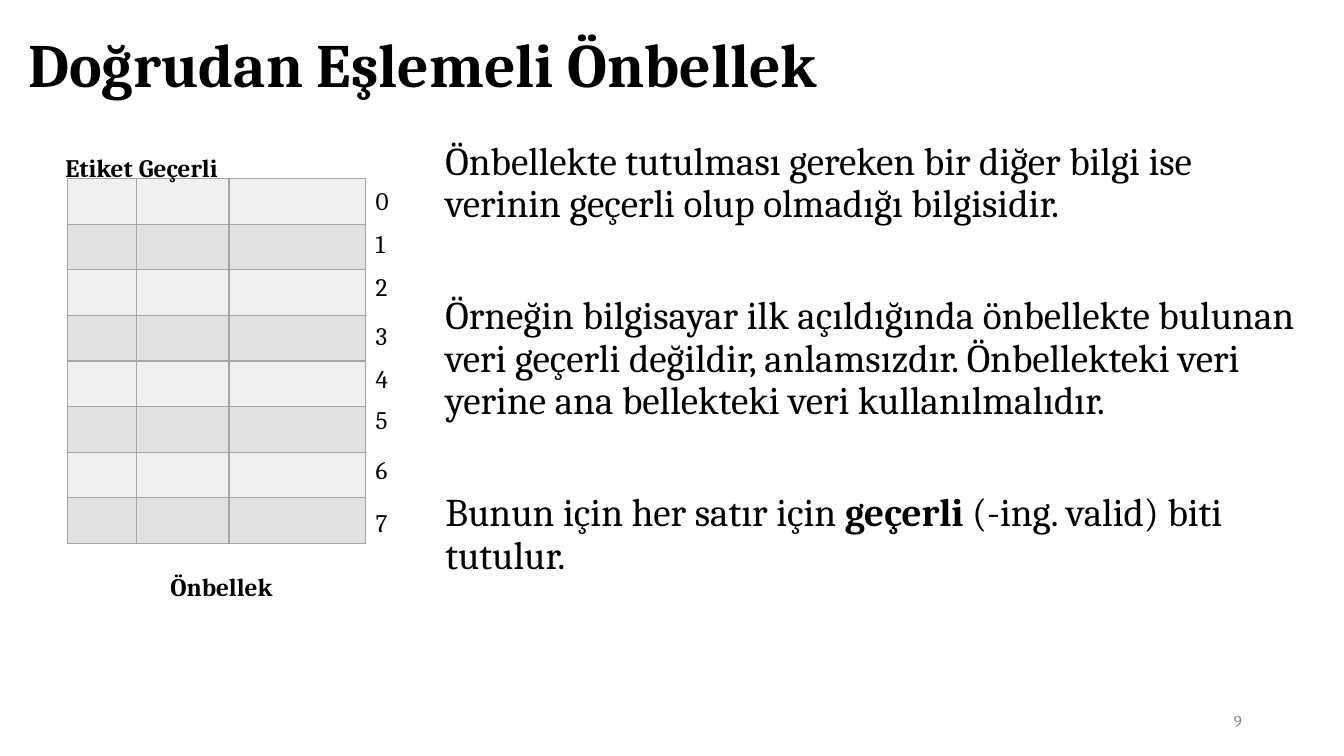
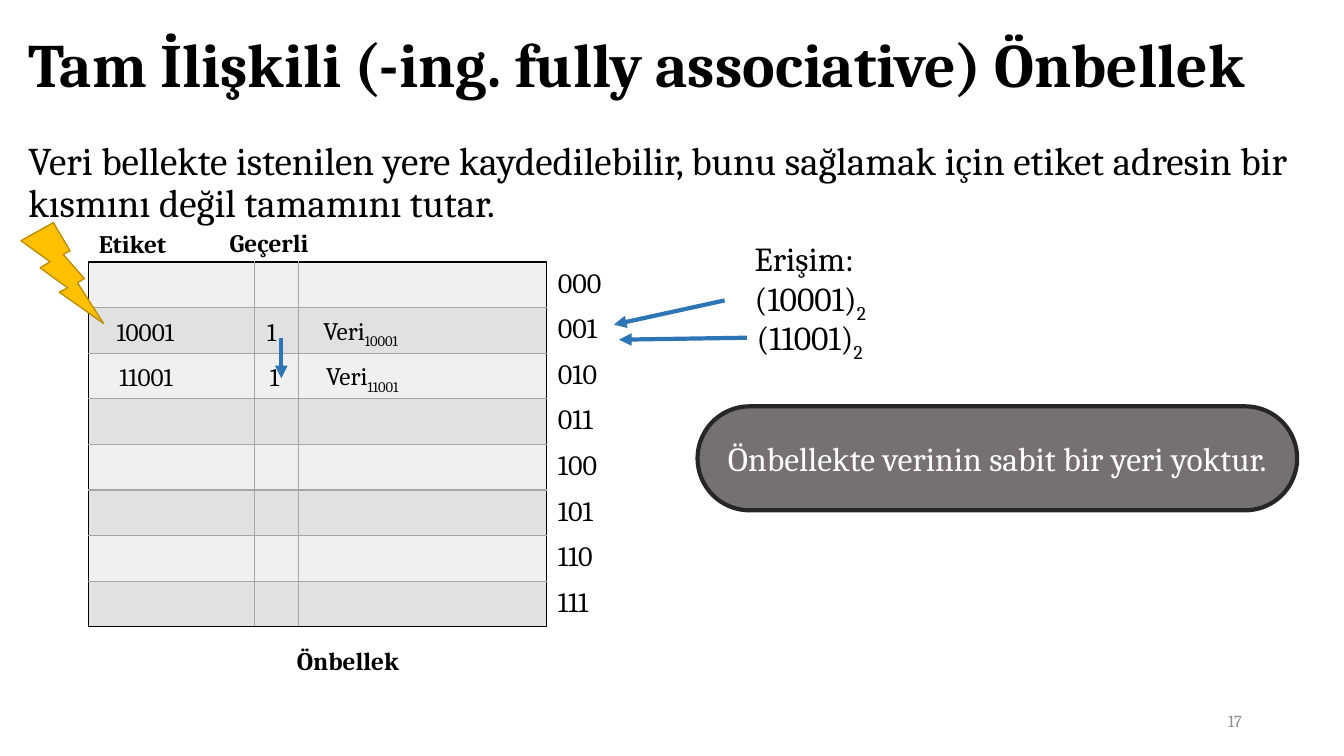
"""Build two lecture slides on direct-mapped and fully associative caches."""
from lxml.etree import SubElement
from pptx import Presentation
from pptx.dml.color import RGBColor
from pptx.enum.shapes import MSO_CONNECTOR, MSO_SHAPE
from pptx.enum.text import MSO_ANCHOR, MSO_AUTO_SIZE, PP_ALIGN
from pptx.oxml.ns import qn
from pptx.util import Cm, Pt

FONT = "Cambria"
COLORS = {
    "text": "000000",
    "page": "8C8C8C",
    "light_row": "F0F0F0",
    "dark_row": "E1E1E1",
    "grid": "A5A5A5",
    "white": "FFFFFF",
    "arrow": "2E75B6",
    "bolt": "FFC000",
    "bolt_edge": "BD8E00",
    "note": "767171",
    "note_edge": "262626",
}
ROWS = 8
ROW_HEIGHT = 1.15
LABEL_HEIGHT = 1.02


def rgb(name):
    return RGBColor.from_string(COLORS[name])


class Deck:
    """Holds the shared style and the slide being built."""

    def __init__(self):
        self.presentation = Presentation()
        self.presentation.slide_width = Cm(33.87)
        self.presentation.slide_height = Cm(19.05)
        self.slide = None

    def start(self, title, page):
        layout = self.presentation.slide_layouts[1]
        self.slide = self.presentation.slides.add_slide(layout)
        heading = self.slide.shapes.title
        self.place(heading, 0.46, 0.38, 32.66, 2.64)
        heading.text_frame.vertical_anchor = MSO_ANCHOR.MIDDLE
        self.set_text(heading.text_frame, [title], 44, bold=True, spacing=0.9)
        self.label(page, 23.93, 17.65, 7.62, size=12, color="page", align=PP_ALIGN.RIGHT,
                   anchor=MSO_ANCHOR.MIDDLE)

    def place(self, holder, left, top, width, height):
        holder.left, holder.top = Cm(left), Cm(top)
        holder.width, holder.height = Cm(width), Cm(height)

    def set_text(self, frame, paragraphs, size, color="text", bold=False,
                 align=PP_ALIGN.LEFT, spacing=1.0, gap=0):
        frame.word_wrap = True
        frame.auto_size = MSO_AUTO_SIZE.NONE
        for index, parts in enumerate(paragraphs):
            parts = [parts] if isinstance(parts, str) else parts
            paragraph = frame.add_paragraph() if index else frame.paragraphs[0]
            paragraph.alignment = align
            paragraph.line_spacing = spacing
            paragraph.space_before = Pt(gap if index else 0)
            for part in parts:
                text, mark = (part, "") if isinstance(part, str) else part
                run = paragraph.add_run()
                run.text = text
                run.font.name = FONT
                run.font.size = Pt(size)
                run.font.bold = bold or mark == "bold"
                run.font.color.rgb = rgb(color)
                if mark == "sub":
                    run.font._element.set("baseline", "-25000")

    def body(self, paragraphs, left, width):
        content = self.slide.placeholders[1]
        self.place(content, left, 3.43, width, 13.72)
        self.set_text(content.text_frame, paragraphs, 28, spacing=0.9, gap=50)
        for paragraph in content.text_frame.paragraphs:
            properties = paragraph._p.get_or_add_pPr()
            properties.set("marL", "0")
            properties.set("indent", "0")
            SubElement(properties, qn("a:buNone"))

    def label(self, parts, left, top, width, height=LABEL_HEIGHT, size=18,
              anchor=MSO_ANCHOR.TOP, **style):
        box = self.slide.shapes.add_textbox(Cm(left), Cm(top), Cm(width), Cm(height))
        box.text_frame.vertical_anchor = anchor
        paragraphs = parts if isinstance(parts, list) else [parts]
        self.set_text(box.text_frame, paragraphs, size, **style)

    def edge(self, cell, side, color):
        line = SubElement(cell._tc.get_or_add_tcPr(), qn(f"a:ln{side}"), w=str(Pt(1)))
        if color is None:
            SubElement(line, qn("a:noFill"))
        else:
            fill = SubElement(line, qn("a:solidFill"))
            SubElement(fill, qn("a:srgbClr"), val=COLORS[color])

    def cache(self, left, top, widths, frame_color, addresses=()):
        grid = self.slide.shapes.add_table(ROWS, len(widths), Cm(left), Cm(top),
                                           Cm(sum(widths)), Cm(ROWS * ROW_HEIGHT)).table
        grid.first_row = grid.horz_banding = False
        for column, width in zip(grid.columns, widths):
            column.width = Cm(width)
        for row in range(ROWS):
            grid.rows[row].height = Cm(ROW_HEIGHT)
            for column in range(len(widths)):
                cell = grid.cell(row, column)
                outside = column == 3
                outer = {"L": column == 0, "R": column == 2,
                         "T": row == 0, "B": row == ROWS - 1}
                for side, is_outer in outer.items():
                    color = frame_color if is_outer else "grid"
                    if outside:
                        color = frame_color if side == "L" else None
                    self.edge(cell, side, color)
                cell.fill.solid()
                stripe = "dark_row" if row % 2 else "light_row"
                cell.fill.fore_color.rgb = rgb("white" if outside else stripe)
                if outside:
                    cell.margin_left = cell.margin_right = Cm(0.28)
                    cell.margin_top = cell.margin_bottom = Cm(0.15)
                    self.set_text(cell.text_frame, [addresses[row]], 20)

    def arrow(self, start, end):
        connector = self.slide.shapes.add_connector(
            MSO_CONNECTOR.STRAIGHT, *(Cm(value) for value in start + end))
        connector.line.color.rgb = rgb("arrow")
        connector.line.width = Pt(3)
        properties = connector._element.spPr
        SubElement(properties.find(qn("a:ln")), qn("a:tailEnd"), type="triangle")
        SubElement(properties, qn("a:effectLst"))

    def shape(self, preset, left, top, width, height, fill, edge, weight):
        figure = self.slide.shapes.add_shape(preset, Cm(left), Cm(top), Cm(width), Cm(height))
        figure.shadow.inherit = False
        figure.fill.solid()
        figure.fill.fore_color.rgb = rgb(fill)
        figure.line.color.rgb = rgb(edge)
        figure.line.width = Pt(weight)
        return figure

    def note(self, text, left, top, width, height):
        pill = self.shape(MSO_SHAPE.ROUNDED_RECTANGLE, left, top, width, height,
                          "note", "note_edge", 3)
        pill.adjustments[0] = 0.5
        pill.text_frame.vertical_anchor = MSO_ANCHOR.MIDDLE
        self.set_text(pill.text_frame, [text], 24, "white", align=PP_ALIGN.CENTER)


def direct_mapped(deck):
    deck.start("Doğrudan Eşlemeli Önbellek", "9")
    deck.body([
        "Önbellekte tutulması gereken bir diğer bilgi ise verinin geçerli olup olmadığı bilgisidir.",
        "Örneğin bilgisayar ilk açıldığında önbellekte bulunan veri geçerli değildir, anlamsızdır. "
        "Önbellekteki veri yerine ana bellekteki veri kullanılmalıdır.",
        ["Bunun için her satır için ", ("geçerli", "bold"), " (-ing. valid) biti tutulur."],
    ], 10.97, 22.12)
    deck.cache(1.7, 4.5, [1.73, 2.34, 3.45], "grid")
    for index, top in enumerate([4.55, 5.64, 6.71, 7.95, 9.04, 10.06, 11.33, 12.65]):
        deck.label(str(index), 9.22, top, 1.14)
    deck.label("Etiket", 1.4, 3.71, 3.1, bold=True)
    deck.label("Geçerli", 3.25, 3.71, 3.1, bold=True)
    deck.label("Önbellek", 1.4, 14.27, 8.36, bold=True, align=PP_ALIGN.CENTER)


def fully_associative(deck):
    deck.start("Tam İlişkili (-ing. fully associative) Önbellek", "17")
    deck.body(["Veri bellekte istenilen yere kaydedilebilir, bunu sağlamak için etiket adresin "
               "bir kısmını değil tamamını tutar."], 0.46, 32.66)
    addresses = [f"{row:03b}" for row in range(ROWS)]
    deck.cache(2.24, 6.6, [4.17, 1.12, 6.25, 2.69], "text", addresses)
    deck.label("Etiket", 2.24, 5.64, 4.85, bold=True)
    deck.label("Geçerli", 5.54, 5.61, 4.85, bold=True)
    deck.label("Önbellek", 2.24, 16.13, 13.06, bold=True, align=PP_ALIGN.CENTER)
    deck.label(["Erişim:", ["(10001)", ("2", "sub")]], 18.77, 5.87, 9.07, 2.31, size=24)
    deck.label([["(11001)", ("2", "sub")]], 18.82, 7.87, 9.07, 1.27, size=24)
    deck.shape(MSO_SHAPE.LIGHTNING_BOLT, 0.53, 5.61, 2.08, 2.54, "bolt", "bolt_edge", 1)
    for start, end in [((18.26, 7.57), (15.47, 8.18)),
                       ((18.82, 8.51), (15.6, 8.56)),
                       ((7.09, 8.51), (7.09, 9.53))]:
        deck.arrow(start, end)
    for index, tag in enumerate(["10001", "11001"]):
        shift, top = 0.07 * index, 7.85 + 1.14 * index
        deck.label(tag, 2.69 + shift, top, 3.33)
        deck.label("1", 6.48 + shift, top, 1.32)
        deck.label([["Veri", (tag, "sub")]], 7.9 + shift, top - 0.03, 5.89)
    deck.note("Önbellekte verinin sabit bir yeri yoktur.", 17.58, 10.24, 15.11, 2.62)


def main():
    deck = Deck()
    direct_mapped(deck)
    fully_associative(deck)
    deck.presentation.save("out.pptx")


if __name__ == "__main__":
    main()
